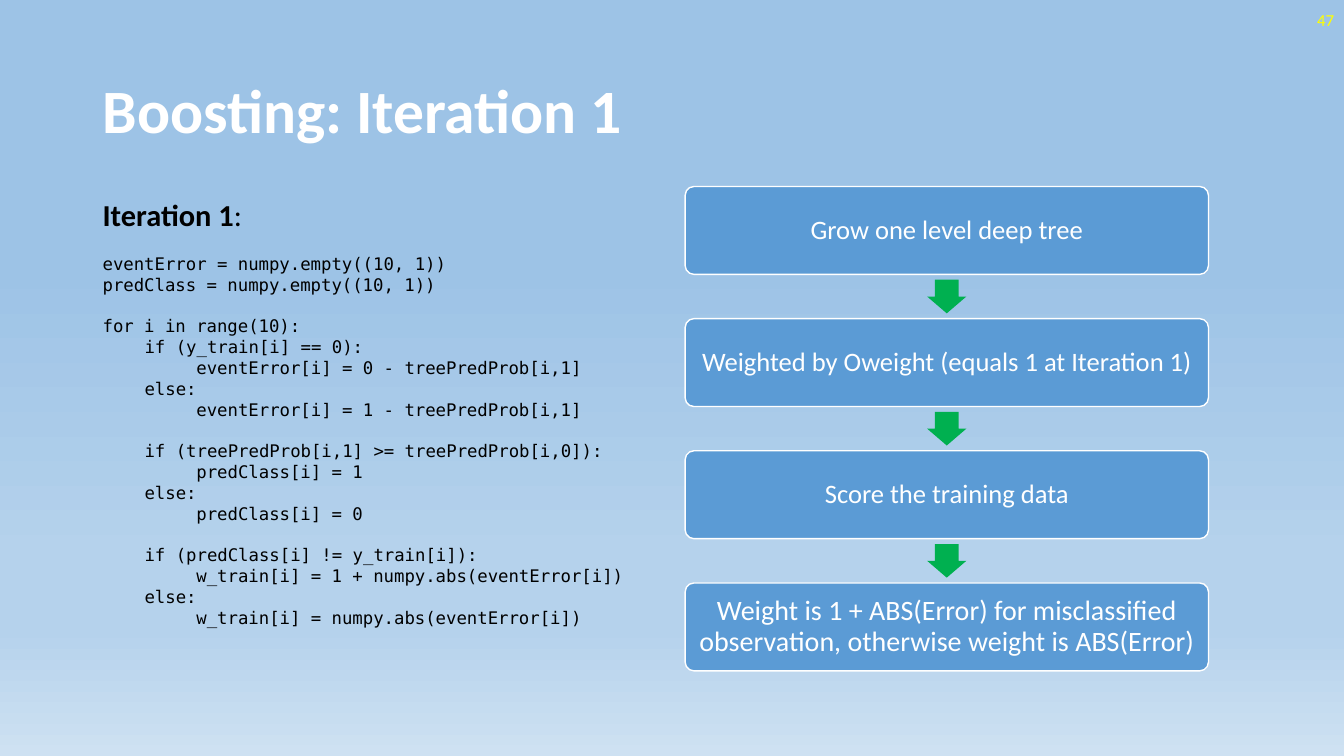
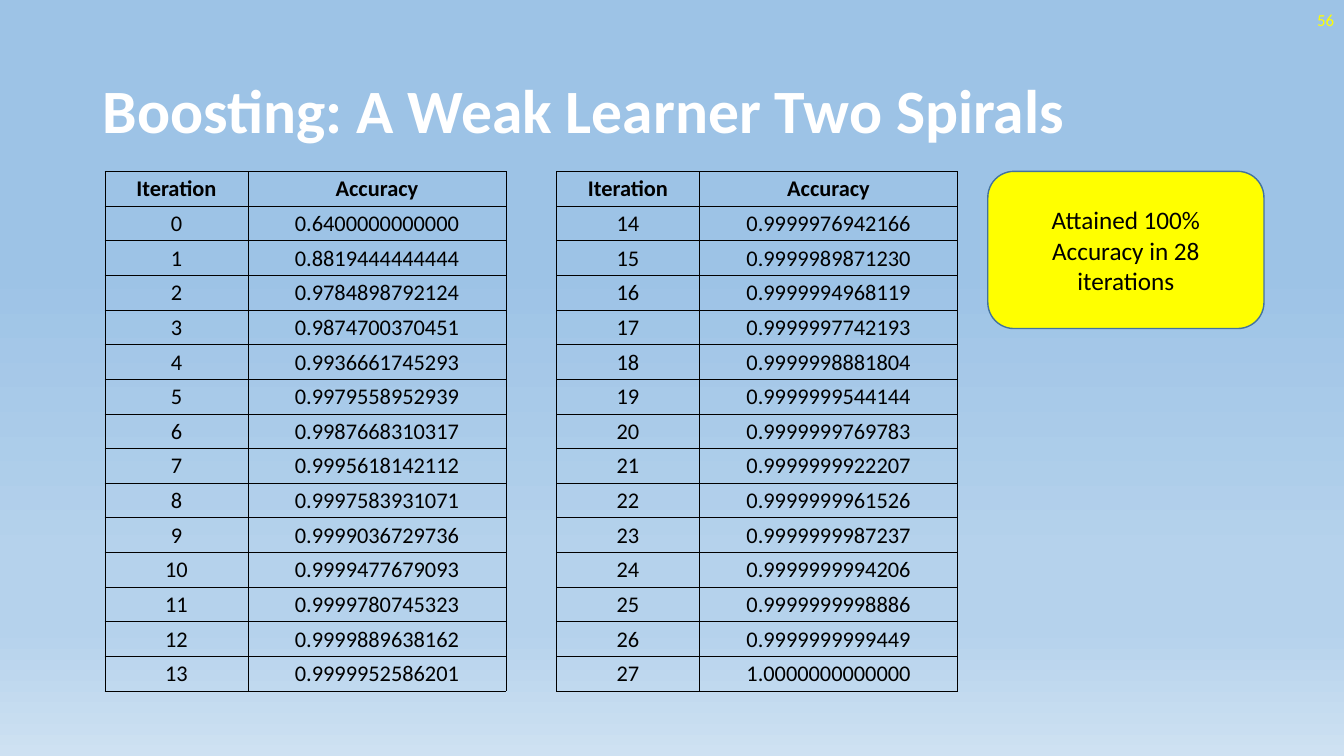
from lxml import etree
from pptx import Presentation
from pptx.dml.color import RGBColor
from pptx.enum.shapes import MSO_SHAPE as Shape
from pptx.enum.text import MSO_ANCHOR as Anchor, PP_ALIGN as Align
from pptx.oxml.ns import qn
from pptx.util import Pt

COLORS = {
    "title": "FFFFFF", "number": "FFFF00", "text": "000000",
    "step": "5B9BD5", "step_text": "FFFFFF", "arrow": "00B050",
    "callout": "FFFF00", "callout_line": "43739E", "border": "000000",
}
BACKGROUND_STOPS = [(35, "9DC3E6"), (74, "B5D2EC"), (83, "B5D2EC"), (100, "CEE1F2")]
BODY_FONT = "Calibri"
CODE_FONT = "DejaVu Sans Mono"
CODE_LINE = 14.87
CODE_INDENTS = [0, 30, 67]
CODE_BLOCKS = [
    [(0, "eventError = numpy.empty((10, 1))"),
     (0, "predClass = numpy.empty((10, 1))")],
    [(0, "for i in range(10):"),
     (1, "if (y_train[i] == 0):"),
     (2, "eventError[i] = 0 - treePredProb[i,1]"),
     (1, "else:"),
     (2, "eventError[i] = 1 - treePredProb[i,1]")],
    [(1, "if (treePredProb[i,1] >= treePredProb[i,0]):"),
     (2, "predClass[i] = 1"),
     (1, "else:"),
     (2, "predClass[i] = 0")],
    [(1, "if (predClass[i] != y_train[i]):"),
     (2, "w_train[i] = 1 + numpy.abs(eventError[i])"),
     (1, "else:"),
     (2, "w_train[i] = numpy.abs(eventError[i])")],
]
STEPS = [
    ("Grow one level deep tree", 19),
    ("Weighted by Oweight (equals 1 at Iteration 1)", 19),
    ("Score the training data", 19),
    ("Weight is 1 + ABS(Error) for misclassified observation, "
     "otherwise weight is ABS(Error)", 20),
]
ACCURACIES = [
    "0.6400000000000", "0.8819444444444", "0.9784898792124", "0.9874700370451",
    "0.9936661745293", "0.9979558952939", "0.9987668310317", "0.9995618142112",
    "0.9997583931071", "0.9999036729736", "0.9999477679093", "0.9999780745323",
    "0.9999889638162", "0.9999952586201", "0.9999976942166", "0.9999989871230",
    "0.9999994968119", "0.9999997742193", "0.9999998881804", "0.9999999544144",
    "0.9999999769783", "0.9999999922207", "0.9999999961526", "0.9999999987237",
    "0.9999999994206", "0.9999999998886", "0.9999999999449", "1.0000000000000",
]


def rgb(name):
    return RGBColor.from_string(COLORS[name])


def style(paragraph, size, color, bold=False, align=Align.LEFT, font=BODY_FONT):
    paragraph.alignment = align
    paragraph.font.name = font
    paragraph.font.size = Pt(size)
    paragraph.font.bold = bold
    paragraph.font.color.rgb = rgb(color)


def set_background(master):
    fill = master.background.fill
    fill.gradient()
    fill.gradient_angle = 270
    stops = master.element.find(".//" + qn("a:gsLst"))
    for stop in list(stops):
        stops.remove(stop)
    for percent, color in BACKGROUND_STOPS:
        stop = etree.SubElement(stops, qn("a:gs"), pos=str(percent * 1000))
        etree.SubElement(stop, qn("a:srgbClr"), val=color)


def add_text_frame(slide, left, top, width, height, anchor=Anchor.MIDDLE):
    box = slide.shapes.add_textbox(Pt(left), Pt(top), Pt(width), Pt(height))
    frame = box.text_frame
    frame.word_wrap = True
    frame.vertical_anchor = anchor
    return frame


def add_slide(presentation, title, number):
    slide = presentation.slides.add_slide(presentation.slide_layouts[6])
    paragraph = add_text_frame(slide, 66.24, 28.8, 828, 104.4).paragraphs[0]
    paragraph.text = title
    paragraph.line_spacing = 0.9
    style(paragraph, 44, "title", bold=True)
    paragraph = add_text_frame(slide, 744, 0, 216, 28.8).paragraphs[0]
    paragraph.text = number
    style(paragraph, 12, "number", align=Align.RIGHT)
    return slide


def add_code(slide):
    frame = add_text_frame(slide, 66.24, 144, 413.3, 342.7, Anchor.TOP)
    heading = frame.paragraphs[0]
    heading.line_spacing = 0.7
    style(heading, 21.7, "text", bold=True)
    heading.add_run().text = "Iteration 1"
    colon = heading.add_run()
    colon.text = ":"
    colon.font.bold = False
    for block in CODE_BLOCKS:
        for index, (level, text) in enumerate(block):
            paragraph = frame.add_paragraph()
            paragraph.text = text
            paragraph.line_spacing = Pt(CODE_LINE)
            paragraph.space_before = Pt(0 if index else CODE_LINE)
            style(paragraph, 12.4, "text", font=CODE_FONT)
            properties = paragraph.font._element.getparent()
            properties.set("marL", str(Pt(CODE_INDENTS[level])))
            properties.set("indent", "0")


def add_filled_shape(slide, kind, left, top, width, height, fill, line=None):
    shape = slide.shapes.add_shape(kind, Pt(left), Pt(top), Pt(width), Pt(height))
    shape.shadow.inherit = False
    shape.fill.solid()
    shape.fill.fore_color.rgb = rgb(fill)
    if line:
        shape.line.color.rgb = rgb(line)
        shape.line.width = Pt(1)
    else:
        shape.line.fill.background()
    return shape


def set_label(shape, text, size, color):
    frame = shape.text_frame
    frame.word_wrap = True
    frame.vertical_anchor = Anchor.MIDDLE
    paragraph = frame.paragraphs[0]
    paragraph.text = text
    style(paragraph, size, color, align=Align.CENTER)
    return frame


def add_flow(slide):
    left, top, width, height, pitch = 489.4, 133.2, 373.8, 62.8, 94.4
    arrow_width, arrow_height = 28, 24
    for index, (text, size) in enumerate(STEPS):
        step_top = top + index * pitch
        if index:
            add_filled_shape(
                slide, Shape.DOWN_ARROW, left + (width - arrow_width) / 2,
                step_top - (pitch - height + arrow_height) / 2,
                arrow_width, arrow_height, "arrow").adjustments[0] = 0.6
        step = add_filled_shape(slide, Shape.ROUNDED_RECTANGLE, left, step_top,
                                width, height, "step", "step_text")
        step.adjustments[0] = 0.1
        frame = set_label(step, text, size, "step_text")
        frame.margin_left = frame.margin_right = Pt(7)
        frame.paragraphs[0].line_spacing = 0.9


def set_borders(cell):
    properties = cell._tc.get_or_add_tcPr()
    for side in ("lnL", "lnR", "lnT", "lnB"):
        line = etree.SubElement(properties, qn("a:" + side), w=str(Pt(0.5)))
        fill = etree.SubElement(line, qn("a:solidFill"))
        etree.SubElement(fill, qn("a:srgbClr"), val=COLORS["border"])


def add_accuracy_table(slide, left, first, last):
    rows = [("Iteration", "Accuracy")]
    rows += [(str(i), ACCURACIES[i]) for i in range(first, last)]
    widths, row_height = (102.24, 184.32), 24.77
    table = slide.shapes.add_table(
        len(rows), len(widths), Pt(left), Pt(122.4),
        Pt(sum(widths)), Pt(row_height * len(rows))).table
    table.first_row = table.horz_banding = False
    for column, width in zip(table.columns, widths):
        column.width = Pt(width)
    for row_index, values in enumerate(rows):
        table.rows[row_index].height = Pt(row_height)
        for column_index, value in enumerate(values):
            cell = table.cell(row_index, column_index)
            cell.margin_left = cell.margin_right = cell.margin_top = Pt(0.7)
            cell.margin_bottom = 0
            cell.vertical_anchor = Anchor.MIDDLE
            set_borders(cell)
            cell.fill.background()
            paragraph = cell.text_frame.paragraphs[0]
            paragraph.text = value
            style(paragraph, 16, "text", bold=row_index == 0, align=Align.CENTER)


def main():
    presentation = Presentation()
    presentation.slide_width = Pt(960)
    presentation.slide_height = Pt(540)
    set_background(presentation.slide_master)

    slide = add_slide(presentation, "Boosting: Iteration 1", "47")
    add_code(slide)
    add_flow(slide)

    slide = add_slide(presentation, "Boosting: A Weak Learner Two Spirals", "56")
    half = len(ACCURACIES) // 2
    add_accuracy_table(slide, 74.88, 0, half)
    add_accuracy_table(slide, 397.44, half, len(ACCURACIES))
    callout = add_filled_shape(slide, Shape.ROUNDED_RECTANGLE, 705.6, 122.4,
                               197.3, 112.3, "callout", "callout_line")
    set_label(callout, "Attained 100% Accuracy in 28 iterations", 18, "text")

    presentation.save("out.pptx")


if __name__ == "__main__":
    main()
